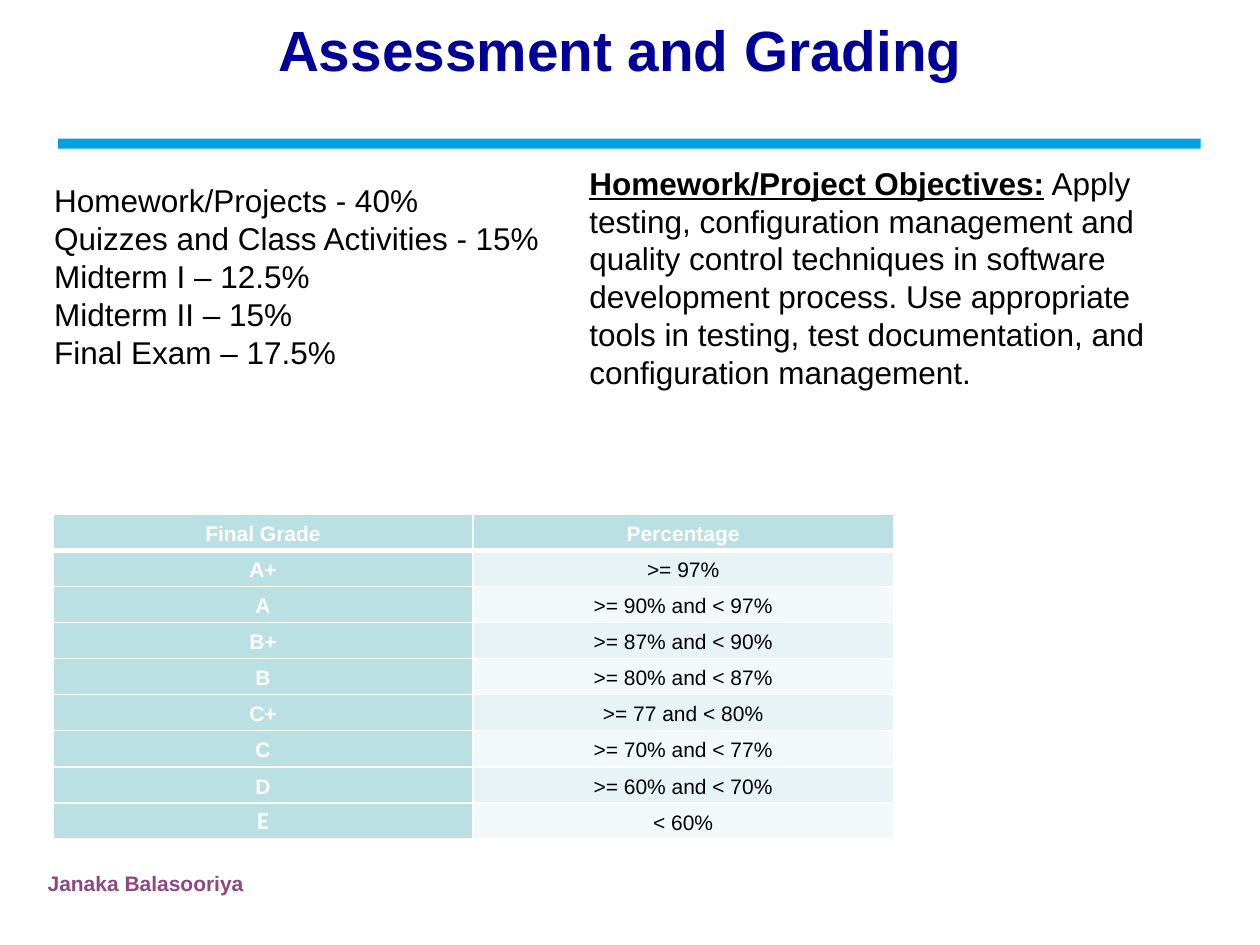
from lxml import etree
from pptx import Presentation
from pptx import util as u
from pptx.dml.color import RGBColor
from pptx.enum import shapes, text
from pptx.oxml import ns

NAVY = RGBColor(0x00, 0x00, 0x99)
BLUE = RGBColor(0x00, 0xA2, 0xE0)
PLUM = RGBColor(0x8C, 0x48, 0x81)
BLACK = RGBColor(0x00, 0x00, 0x00)
WHITE = RGBColor(0xFF, 0xFF, 0xFF)
TEAL = RGBColor(0xBB, 0xE0, 0xE3)
BANDS = (RGBColor(0xE7, 0xF3, 0xF4), RGBColor(0xF3, 0xF9, 0xFA))

WEIGHTS = [
    "Homework/Projects - 40%",
    "Quizzes and Class Activities - 15%",
    "Midterm I – 12.5%",
    "Midterm II – 15%",
    "Final Exam – 17.5%",
]
GOAL = ("Homework/Project Objectives:",
        " Apply testing, configuration management and quality control "
        "techniques in software development process. Use appropriate tools "
        "in testing, test documentation, and configuration management.")
GRADES = [
    ("Final Grade", "Percentage"),
    ("A+", ">= 97%"),
    ("A", ">= 90% and < 97%"),
    ("B+", ">= 87% and < 90%"),
    ("B", ">= 80% and < 87%"),
    ("C+", ">= 77 and < 80%"),
    ("C", ">= 70% and < 77%"),
    ("D", ">= 60% and < 70%"),
    ("E", "< 60%"),
]


def inch(*box):
    return [u.Inches(n) for n in box]


def place(shape, box):
    shape.left, shape.top, shape.width, shape.height = inch(*box)


def style(font, size, color, bold=False, name="Arial"):
    font.name, font.size, font.bold = name, u.Pt(size), bold
    font.color.rgb = color


def add_text(slide, box):
    frame = slide.shapes.add_textbox(*inch(*box)).text_frame
    frame.word_wrap = True
    return frame.paragraphs[0]


def add_head(slide, box):
    title = slide.shapes.title
    place(title, box)
    frame = title.text_frame
    frame.text = "Assessment and Grading"
    frame.auto_size = text.MSO_AUTO_SIZE.NONE
    frame.vertical_anchor = text.MSO_ANCHOR.MIDDLE
    para = frame.paragraphs[0]
    para.alignment = text.PP_ALIGN.CENTER
    style(para.font, 32.4, NAVY, True)


def add_rule(slide, box):
    bar = slide.shapes.add_shape(shapes.MSO_SHAPE.RECTANGLE, *inch(*box))
    bar.shadow.inherit = False
    bar.fill.solid()
    bar.fill.fore_color.rgb = BLUE
    bar.line.fill.background()


def add_list(slide, box):
    body = slide.placeholders[1]
    place(body, box)
    frame = body.text_frame
    frame.text = "\n".join(WEIGHTS)
    frame.auto_size = text.MSO_AUTO_SIZE.NONE
    frame.vertical_anchor = text.MSO_ANCHOR.TOP
    for para in frame.paragraphs:
        para.space_before = u.Pt(0)
        style(para.font, 18, BLACK)
        props = para._p.get_or_add_pPr()
        props.set("marL", "0")
        props.set("indent", "0")
        mark = etree.Element(ns.qn("a:buNone"))
        props.insert_element_before(mark, "a:tabLst", "a:defRPr", "a:extLst")


def add_goal(slide, box):
    para = add_text(slide, box)
    style(para.font, 18, BLACK)
    for words in GOAL:
        para.add_run().text = words
    lead = para.runs[0].font
    lead.bold = lead.underline = True


def add_edge(cell, side, width):
    props = cell._tc.get_or_add_tcPr()
    line = etree.SubElement(props, ns.qn("a:ln" + side), w=str(u.Pt(width)))
    fill = etree.SubElement(line, ns.qn("a:solidFill"))
    etree.SubElement(fill, ns.qn("a:srgbClr"), val=str(WHITE))


def fill_cell(cell, words, row, col):
    label = row == 0 or col == 0
    last = row == len(GRADES) - 1 and col == 0
    cell.text = words
    cell.vertical_anchor = text.MSO_ANCHOR.MIDDLE
    cell.margin_left = cell.margin_right = u.Inches(0.01)
    cell.margin_top = cell.margin_bottom = u.Inches(0.01)
    para = cell.text_frame.paragraphs[0]
    para.alignment = text.PP_ALIGN.CENTER
    para.line_spacing = 1.0 if last else 1.15
    style(para.font, 14 if last else 12, WHITE if label else BLACK, label,
          "Calibri" if last else "Arial")
    widths = {"L": 1, "R": 1, "T": 3 if row == 1 else 1,
              "B": 3 if row == 0 else 1}
    for side, width in widths.items():
        add_edge(cell, side, width)
    cell.fill.solid()
    cell.fill.fore_color.rgb = TEAL if label else BANDS[(row - 1) % 2]


def add_grades(slide, box):
    grid = slide.shapes.add_table(len(GRADES), 2, *inch(*box)).table
    for row, pair in enumerate(GRADES):
        for col, words in enumerate(pair):
            fill_cell(grid.cell(row, col), words, row, col)


def add_foot(slide, box):
    para = add_text(slide, box)
    para.text = "Janaka Balasooriya"
    style(para.font, 12, PLUM, True)


def main():
    deck = Presentation()
    deck.slide_width, deck.slide_height = inch(10, 7.5)
    slide = deck.slides.add_slide(deck.slide_layouts[1])
    add_foot(slide, (0.28, 6.86, 2.54, 0.3))
    add_rule(slide, (0.46, 1.1, 9.07, 0.08))
    add_head(slide, (0.42, 0.08, 9, 0.62))
    add_list(slide, (0.33, 1.39, 9.5, 1.92))
    add_grades(slide, (0.42, 4.08, 6.67, 2.58))
    add_goal(slide, (4.58, 1.25, 5, 1.92))
    deck.save("out.pptx")


if __name__ == "__main__":
    main()
